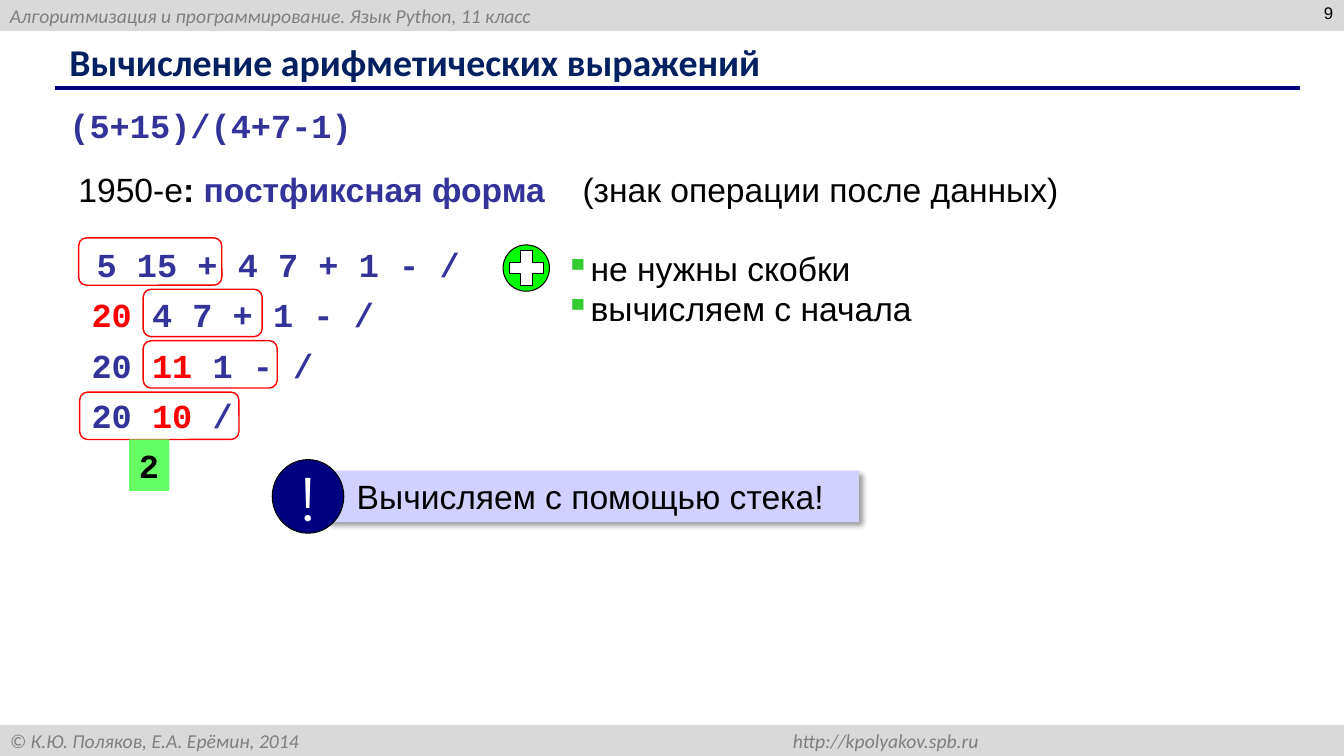
import pptx
import pptx.util
import pptx.dml.color
import pptx.enum.shapes
import pptx.enum.text
import pptx.oxml
import pptx.oxml.ns

RGB = pptx.dml.color.RGBColor
SHAPE = pptx.enum.shapes.MSO_SHAPE
ALIGN = pptx.enum.text.PP_ALIGN
ANCHOR = pptx.enum.text.MSO_ANCHOR
Inches, Pt = pptx.util.Inches, pptx.util.Pt

BAND, GRAY = RGB(0xD9, 0xD9, 0xD9), RGB(0x7F, 0x7F, 0x7F)
NAVY, TITLE_BLUE, INDIGO = RGB(0, 0, 0x80), RGB(0, 0x20, 0x60), RGB(0x33, 0x33, 0x99)
BLACK, WHITE, RED = RGB(0, 0, 0), RGB(0xFF, 0xFF, 0xFF), RGB(0xFF, 0, 0)
LIME, MINT, LAVENDER = RGB(0, 0xFF, 0), RGB(0x66, 0xFF, 0x66), RGB(0xD1, 0xD1, 0xFF)

# Content
HEADER = "Алгоритмизация и программирование. Язык Python, 11 класс"
FOOTER = "© К.Ю. Поляков, Е.А. Ерёмин, 2014\thttp://kpolyakov.spb.ru"
TITLE = "Вычисление арифметических выражений"
PAGE = "9"
EXPRESSION = "(5+15)/(4+7-1)"
# Runs: text, colour, bold
DEFINITION = [("1950-е", BLACK, False), (": ", BLACK, True),
              ("постфиксная форма", INDIGO, True),
              ("\t(знак операции после данных)", BLACK, False)]
# Steps: runs, text left, frame left, frame width
STEPS = [
    ([("5 15 + 4 7 + 1 - /", INDIGO, True)], 0.86, 0.78, 1.42),
    ([("20", RED, True), (" 4 7 + 1 - /", INDIGO, True)], 0.81, 1.42, 1.18),
    ([("20 ", INDIGO, True), ("11", RED, True), (" 1 - /", INDIGO, True)], 0.81, 1.42, 1.33),
    ([("20 ", INDIGO, True), ("10", RED, True), (" /", INDIGO, True)], 0.81, 0.79, 1.58),
]
RESULT = "2"
BENEFITS = ["не нужны скобки", "вычисляем с начала"]
CONCLUSION = "Вычисляем с помощью стека!"

# Grid
WIDTH, HEIGHT = 13.33, 7.5
BAND_HEIGHT = 0.31
STEP_TOP, STEP_PITCH = 2.37, 0.5
FRAME_TOP, FRAME_PITCH, FRAME_HEIGHT = 2.36, 0.51, 0.47
LINE_HEIGHT = 0.51
CHAR_WIDTH, INSET = 0.2, 0.1

deck = pptx.Presentation()
deck.slide_width, deck.slide_height = Inches(WIDTH), Inches(HEIGHT)
slide = deck.slides.add_slide(deck.slide_layouts[6])


def add_xml(parent, xml):
    parent.append(pptx.oxml.parse_xml(
        xml.replace(">", " " + pptx.oxml.ns.nsdecls("a") + ">", 1)))


def add_tab(paragraph, position, align):
    add_xml(paragraph._p.get_or_add_pPr(),
            f'<a:tabLst ><a:tab pos="{Inches(position)}" algn="{align}"/></a:tabLst>')


def style(paragraph, font, size, color=None, bold=None, italic=None):
    paragraph.font.name, paragraph.font.size = font, Pt(size)
    paragraph.font.bold, paragraph.font.italic = bold, italic
    if color is not None:
        paragraph.font.color.rgb = color


def add_runs(paragraph, runs):
    for words, color, bold in runs:
        run = paragraph.add_run()
        run.text = words
        run.font.color.rgb, run.font.bold = color, bold


def add_figure(kind, left, top, width, height, fill=None, line=None, line_width=0.75):
    figure = slide.shapes.add_shape(
        kind, Inches(left), Inches(top), Inches(width), Inches(height))
    figure.shadow.inherit = False
    if fill is None:
        figure.fill.background()
    else:
        figure.fill.solid()
        figure.fill.fore_color.rgb = fill
    if line is None:
        figure.line.fill.background()
    else:
        figure.line.color.rgb, figure.line.width = line, Pt(line_width)
    return figure


def first_paragraph(shape, wrap=True, anchor=ANCHOR.TOP, align=ALIGN.LEFT):
    shape.text_frame.word_wrap = wrap
    shape.text_frame.vertical_anchor = anchor
    paragraph = shape.text_frame.paragraphs[0]
    paragraph.alignment = align
    return paragraph


def add_text(left, top, width, height, **layout):
    box = slide.shapes.add_textbox(Inches(left), Inches(top), Inches(width), Inches(height))
    return first_paragraph(box, **layout)


# Header and footer bands
for words, top in ((HEADER, 0), (FOOTER, HEIGHT - BAND_HEIGHT)):
    band = first_paragraph(add_figure(SHAPE.RECTANGLE, 0, top, WIDTH, BAND_HEIGHT, BAND),
                           anchor=ANCHOR.MIDDLE)
    band.text = words
    if "\t" in words:
        add_tab(band, 9.61, "r")
    style(band, "Calibri", 14, GRAY, italic=True)

# Title, rule and page number
rule = slide.shapes.add_connector(pptx.enum.shapes.MSO_CONNECTOR.STRAIGHT,
                                  Inches(0.55), Inches(0.87), Inches(12.89), Inches(0.87))
rule.line.color.rgb, rule.line.width = NAVY, Pt(3)
add_xml(rule._element.spPr, "<a:effectLst ></a:effectLst>")

title = add_text(0.59, 0.38, 9.16, 0.52, anchor=ANCHOR.MIDDLE)
title.text, title.line_spacing = TITLE, 0.9
style(title, "Calibri", 27, TITLE_BLUE, bold=True)

page = add_text(10.21, -0.02, 3.11, 0.52, align=ALIGN.RIGHT)
page.text = PAGE
style(page, "Arial", 12, BLACK)

# Expression and definition
expression = add_text(0.59, 0.99, 3.23, LINE_HEIGHT, wrap=False)
expression.text = EXPRESSION
style(expression, "Courier New", 24, INDIGO, bold=True)

definition = add_text(0.68, 1.63, 12.47, LINE_HEIGHT)
add_tab(definition, 5, "l")
add_runs(definition, DEFINITION)
style(definition, "Arial", 24)

# Evaluation steps with the operation framed
for row, (runs, left, frame_left, frame_width) in enumerate(STEPS):
    length = sum(len(words) for words, _, _ in runs)
    step = add_text(left, STEP_TOP + row * STEP_PITCH,
                    length * CHAR_WIDTH + 2 * INSET, LINE_HEIGHT, wrap=False)
    add_runs(step, runs)
    style(step, "Courier New", 24)
    add_figure(SHAPE.ROUNDED_RECTANGLE, frame_left, FRAME_TOP + row * FRAME_PITCH,
               frame_width, FRAME_HEIGHT, line=RED, line_width=1)

result = first_paragraph(add_figure(SHAPE.RECTANGLE, 1.28, 4.36, 0.4, LINE_HEIGHT, MINT),
                         wrap=False)
result.text = RESULT
style(result, "Courier New", 24, BLACK, bold=True)

# Plus badge and benefits
add_figure(SHAPE.OVAL, 4.99, 2.43, 0.46, 0.46, LIME, BLACK)
plus = add_figure(SHAPE.CROSS, 5.05, 2.49, 0.34, 0.34, WHITE, BLACK)
plus.adjustments[0] = 0.33

benefit = add_text(5.51, 2.41, 3.69, 0.91)
benefits_frame = benefit._parent
for index, words in enumerate(BENEFITS):
    if index:
        benefit = benefits_frame.add_paragraph()
    benefit.text = words
    properties = benefit._p.get_or_add_pPr()
    properties.set("marL", str(Inches(0.19)))
    properties.set("indent", str(-Inches(0.19)))
    add_xml(properties, '<a:buClr ><a:srgbClr val="33CC33"/></a:buClr>')
    add_xml(properties, '<a:buChar char="▪"></a:buChar>')
    style(benefit, "Arial", 24, BLACK)

# Conclusion with exclamation badge
banner = add_figure(SHAPE.RECTANGLE, 3.25, 4.67, 5.27, LINE_HEIGHT, LAVENDER)
banner._element.spPr.remove(banner._element.spPr.find(pptx.oxml.ns.qn("a:effectLst")))
add_xml(banner._element.spPr,
        f'<a:effectLst ><a:outerShdw blurRad="{Pt(4)}" dist="{Pt(3)}" dir="2700000" '
        'algn="tl" rotWithShape="0"><a:srgbClr val="000000"><a:alpha val="40000"/>'
        '</a:srgbClr></a:outerShdw></a:effectLst>')
conclusion = first_paragraph(banner)
conclusion.text = CONCLUSION
conclusion._p.get_or_add_pPr().set("marL", str(Inches(0.19)))
style(conclusion, "Arial", 24, BLACK)

badge = first_paragraph(add_figure(SHAPE.OVAL, 2.7, 4.56, 0.71, 0.73, NAVY, BLACK),
                        wrap=False, anchor=ANCHOR.MIDDLE, align=ALIGN.CENTER)
badge.text = "!"
style(badge, "Montserrat", 44, WHITE)

deck.save("out.pptx")
